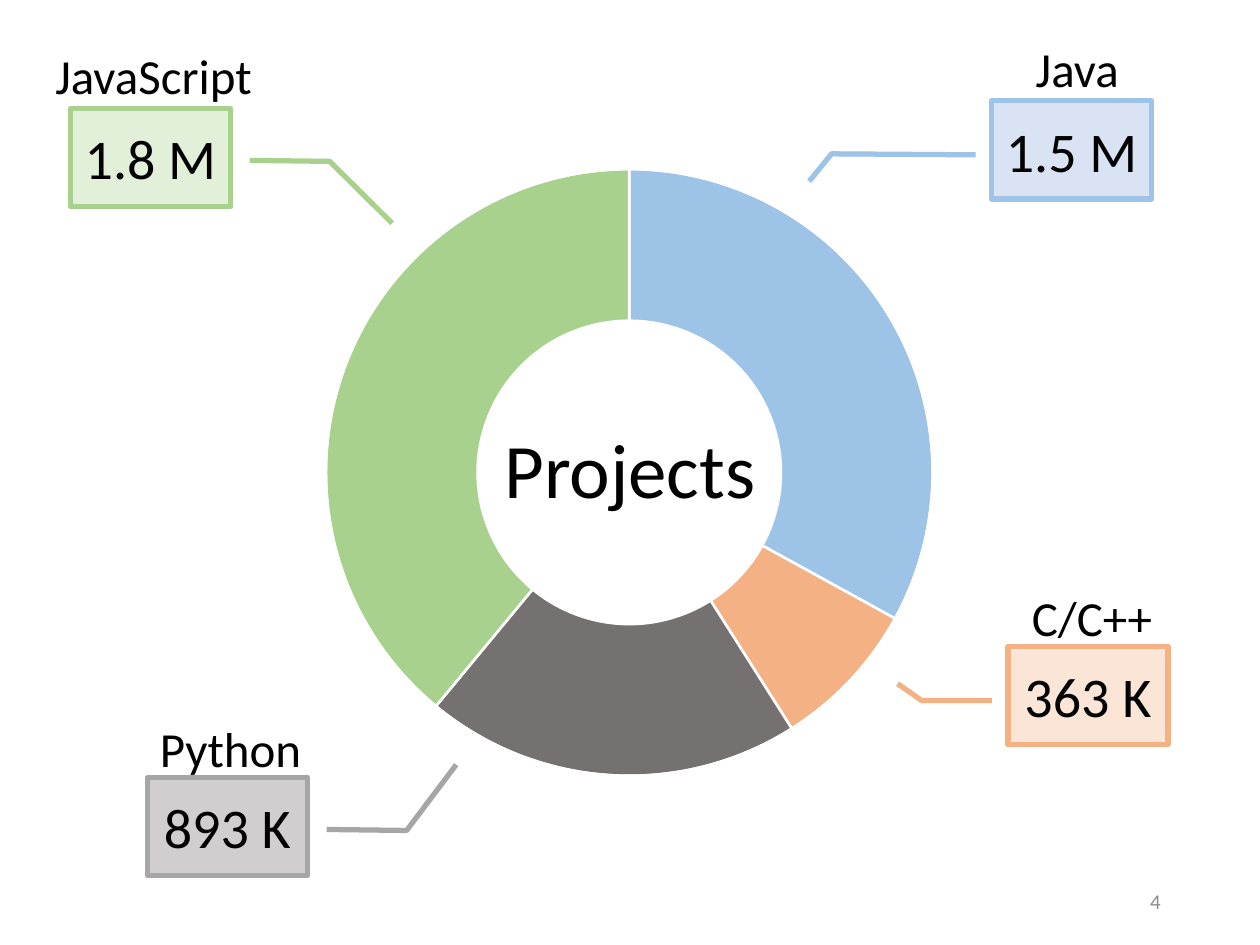
from dataclasses import dataclass

from pptx import Presentation
from pptx.chart.data import CategoryChartData
from pptx.dml.color import RGBColor
from pptx.enum.chart import XL_CHART_TYPE
from pptx.enum.shapes import MSO_SHAPE
from pptx.enum.text import MSO_ANCHOR, MSO_AUTO_SIZE, PP_ALIGN
from pptx.util import Inches, Pt

DOUGHNUT = XL_CHART_TYPE.DOUGHNUT
CALLOUT = MSO_SHAPE.LINE_CALLOUT_2
MIDDLE = MSO_ANCHOR.MIDDLE
FIT_SHAPE = MSO_AUTO_SIZE.SHAPE_TO_FIT_TEXT
LEFT, CENTER, RIGHT = PP_ALIGN.LEFT, PP_ALIGN.CENTER, PP_ALIGN.RIGHT


@dataclass
class Theme:
    font: str = "Calibri"
    ink: str = "000000"
    muted: str = "8C8C8C"
    paper: str = "FFFFFF"
    blue: str = "9DC3E6"
    pale_blue: str = "DAE3F3"
    orange: str = "F4B183"
    pale_orange: str = "FBE5D6"
    dark_gray: str = "767171"
    gray: str = "A6A6A6"
    pale_gray: str = "D0CECE"
    green: str = "A9D18E"
    pale_green: str = "E2F0D9"
    title_size: int = 44
    value_size: int = 32
    label_size: int = 28
    number_size: int = 12
    chart_size: int = 10
    border: int = 3


def apply(target, values):
    for name, value in values.items():
        setattr(target, name, value)


def inches(area):
    return [Inches(length) for length in area]


class SlideBuilder:
    def __init__(self, page, theme):
        self.page = page
        self.theme = theme

    def style_font(self, font, size, color):
        apply(font, {"name": self.theme.font, "size": Pt(size)})
        font.color.rgb = RGBColor.from_string(color)

    def fill_text(self, box, text, size, color, align, frame_format):
        frame = box.text_frame
        apply(frame, frame_format)
        para = frame.paragraphs[0]
        para.alignment = align
        span = para.add_run()
        span.text = text
        self.style_font(span.font, size, color)
        return para

    def title(self, text, area):
        box = self.page.shapes.title
        apply(box, dict(zip(("left", "top", "width", "height"), inches(area))))
        para = self.fill_text(box, text, self.theme.title_size, self.theme.ink, CENTER,
                              {"vertical_anchor": MIDDLE})
        para.line_spacing = 0.9

    def page_number(self, text, area):
        box = self.page.shapes.add_textbox(*inches(area))
        self.fill_text(box, text, self.theme.number_size, self.theme.muted, RIGHT,
                       {"word_wrap": True, "vertical_anchor": MIDDLE})

    def label(self, text, area, indent):
        box = self.page.shapes.add_textbox(*inches(area))
        self.fill_text(box, text, self.theme.label_size, self.theme.ink, LEFT,
                       {"word_wrap": False, "auto_size": FIT_SHAPE,
                        "margin_left": Inches(indent)})

    def callout(self, text, area, leader, fill, line):
        box = self.page.shapes.add_shape(CALLOUT, *inches(area))
        box.shadow.inherit = False
        for index, value in enumerate(leader):
            box.adjustments[index] = value
        box.fill.solid()
        box.fill.fore_color.rgb = RGBColor.from_string(fill)
        box.line.color.rgb = RGBColor.from_string(line)
        box.line.width = Pt(self.theme.border)
        self.fill_text(box, text, self.theme.value_size, self.theme.ink, CENTER,
                       {"word_wrap": True, "vertical_anchor": MIDDLE})

    def doughnut(self, area, categories, rings):
        data = CategoryChartData()
        data.categories = categories
        for name, values, _ in rings:
            data.add_series(name, values)
        chart = self.page.shapes.add_chart(DOUGHNUT, *inches(area), data).chart
        apply(chart, {"has_legend": False, "has_title": False})
        self.style_font(chart.font, self.theme.chart_size, self.theme.ink)
        plot = chart.plots[0]
        apply(plot, {"vary_by_categories": True, "has_data_labels": False})
        for series, (_, _, colors) in zip(plot.series, rings):
            for index, color in enumerate(colors):
                style = series.points[index].format
                style.fill.solid()
                style.fill.fore_color.rgb = RGBColor.from_string(color)
                style.line.color.rgb = RGBColor.from_string(self.theme.paper)
                style.line.width = Pt(1.5)


def main():
    deck = Presentation()
    apply(deck, {"slide_width": Inches(10), "slide_height": Inches(7.5)})
    theme = Theme()
    builder = SlideBuilder(deck.slides.add_slide(deck.slide_layouts[5]), theme)

    builder.title("Projects", (0, 3.03, 10, 1.45))
    builder.page_number("4", (7.06, 6.95, 2.25, 0.4))
    builder.doughnut((1.23, 0, 7.53, 7.5), ("1", "2", "3", "4"), (
        ("Series 1", (33, 8, 20, 39),
         (theme.blue, theme.orange, theme.dark_gray, theme.green)),
        ("Series 2", (17, 14, 8, 61), (theme.paper,) * 4),
    ))

    languages = (
        ("Java", (8.03, 0.26, 0.96), 0.19, "1.5 M", (7.87, 0.8),
         (0.55, -0.1, 0.54, -1, 0.82, -1.14), theme.pale_blue, theme.blue),
        ("C/C++", (8, 4.61, 1.26), 0.19, "363 K", (8, 5.13),
         (0.55, -0.1, 0.55, -0.54, 0.38, -0.69), theme.pale_orange, theme.orange),
        ("Python", (1.17, 5.65, 1.34), 0.1, "893 K", (1.17, 6.17),
         (0.53, 1.12, 0.54, 1.62, -0.13, 1.93), theme.pale_gray, theme.gray),
        ("JavaScript", (0.34, 0.31, 1.78), 0.1, "1.8 M", (0.56, 0.86),
         (0.53, 1.12, 0.54, 1.62, 1.17, 2.01), theme.pale_green, theme.green),
    )
    for name, name_area, indent, value, corner, leader, fill, line in languages:
        builder.callout(value, (*corner, 1.27, 0.78), leader, fill, line)
        builder.label(name, (*name_area, 0.57), indent)

    deck.save("out.pptx")


if __name__ == "__main__":
    main()
